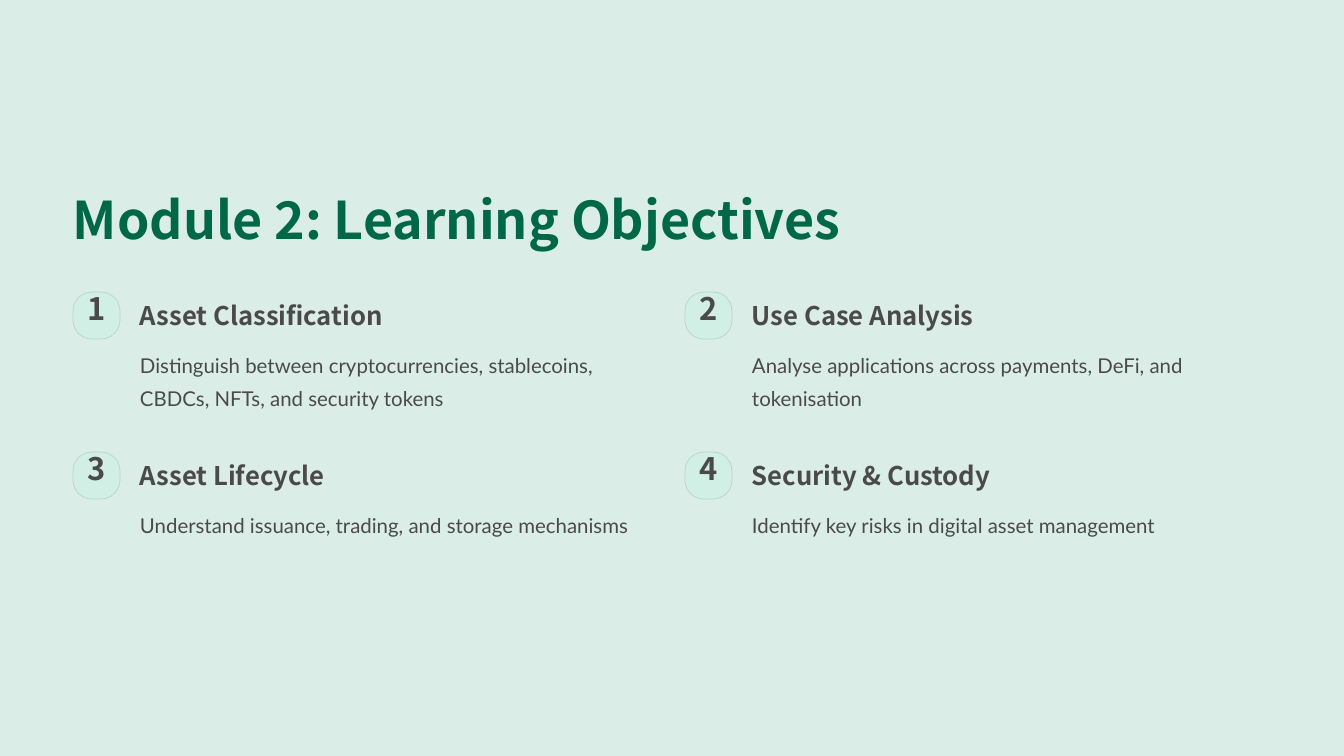
from dataclasses import dataclass

from pptx import Presentation
from pptx.dml.color import RGBColor
from pptx.enum.shapes import MSO_SHAPE
from pptx.enum.text import MSO_ANCHOR, MSO_AUTO_SIZE, PP_ALIGN
from pptx.util import Pt

ROUND = MSO_SHAPE.ROUNDED_RECTANGLE
TOP = MSO_ANCHOR.TOP
FIXED = MSO_AUTO_SIZE.NONE
LEFT, CENTER = PP_ALIGN.LEFT, PP_ALIGN.CENTER

TITLE = "Module 2: Learning Objectives"
GOALS = [
    ("Asset Classification",
     "Distinguish between cryptocurrencies, stablecoins, CBDCs, NFTs, and security tokens"),
    ("Use Case Analysis",
     "Analyse applications across payments, DeFi, and tokenisation"),
    ("Asset Lifecycle",
     "Understand issuance, trading, and storage mechanisms"),
    ("Security & Custody",
     "Identify key risks in digital asset management"),
]


@dataclass(frozen=True)
class Style:
    size: float
    lead: float
    color: str
    font: str = "Noto Sans CJK SC"
    bold: bool = True
    align: int = LEFT
    wrap: bool = False


class Theme:
    back, fill, line = "DAEDE6", "D1EFE4", "B7D5CA"
    green, ink = "006747", "4B4A4A"
    title = Style(44.5, 55.5, green)
    number = Style(26.5, 26.5, ink, align=CENTER)
    head = Style(22, 27.5, ink)
    body = Style(17.5, 28.5, ink, "Lato", False, wrap=True)


# Lengths in px, 84 to the inch
WIDE, HIGH = 1344, 756
COLS = 2
GRID_X, GRID_Y = 73, 292
STEP_X, STEP_Y = 612, 160
BADGE = 47


def px(*vals):
    return [round(v * 914400 / 84) for v in vals]


def rgb(code):
    return RGBColor.from_string(code)


def write(shape, text, style):
    frame = shape.text_frame
    frame.text = text
    frame.auto_size = FIXED
    frame.word_wrap = style.wrap
    frame.vertical_anchor = TOP
    frame.margin_left = frame.margin_right = 0
    frame.margin_top = frame.margin_bottom = 0
    para = frame.paragraphs[0]
    para.alignment = style.align
    para.line_spacing = Pt(style.lead)
    font = para.runs[0].font
    font.name, font.size, font.bold = style.font, Pt(style.size), style.bold
    font.color.rgb = rgb(style.color)


def add_text(slide, box, text, style):
    write(slide.shapes.add_textbox(*px(*box)), text, style)


def add_badge(slide, x, y):
    badge = slide.shapes.add_shape(ROUND, *px(x, y, BADGE, BADGE))
    badge.adjustments[0] = 0.4
    badge.shadow.inherit = False
    badge.fill.solid()
    badge.fill.fore_color.rgb = rgb(Theme.fill)
    badge.line.color.rgb = rgb(Theme.line)
    badge.line.width = Pt(0.6)


def add_goal(slide, index, head, body):
    row, col = divmod(index, COLS)
    x, y = GRID_X + col * STEP_X, GRID_Y + row * STEP_Y
    add_badge(slide, x, y)
    add_text(slide, (x + 8, y + 4, 31, 39), str(index + 1), Theme.number)
    add_text(slide, (x + 67, y + 7, 260, 33), head, Theme.head)
    add_text(slide, (x + 67, y + 52, 518, 66), body, Theme.body)


def main():
    deck = Presentation()
    deck.slide_width, deck.slide_height = px(WIDE, HIGH)
    slide = deck.slides.add_slide(deck.slide_layouts.get_by_name("Title Only"))
    slide.background.fill.solid()
    slide.background.fill.fore_color.rgb = rgb(Theme.back)

    title = slide.shapes.title
    title.left, title.top, title.width, title.height = px(73, 185, 803, 66)
    write(title, TITLE, Theme.title)

    for index, (head, body) in enumerate(GOALS):
        add_goal(slide, index, head, body)
    deck.save("out.pptx")


if __name__ == "__main__":
    main()
